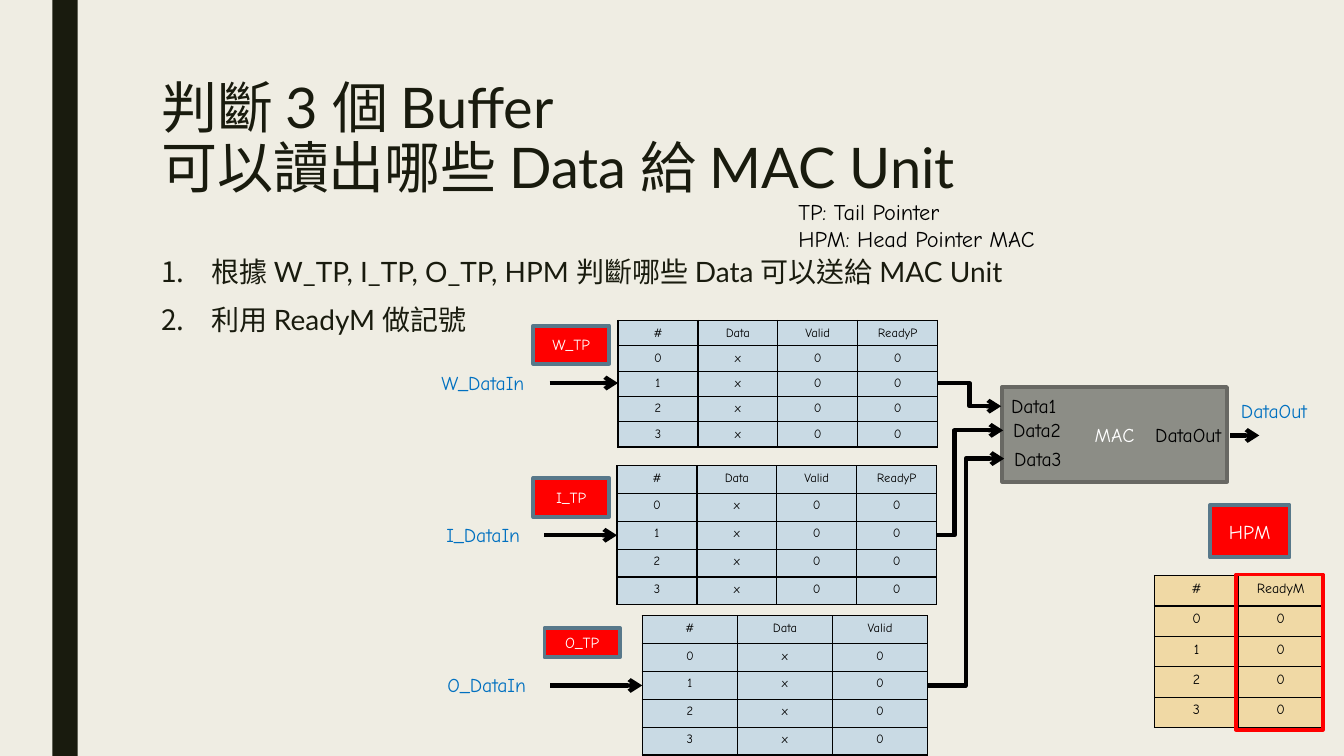
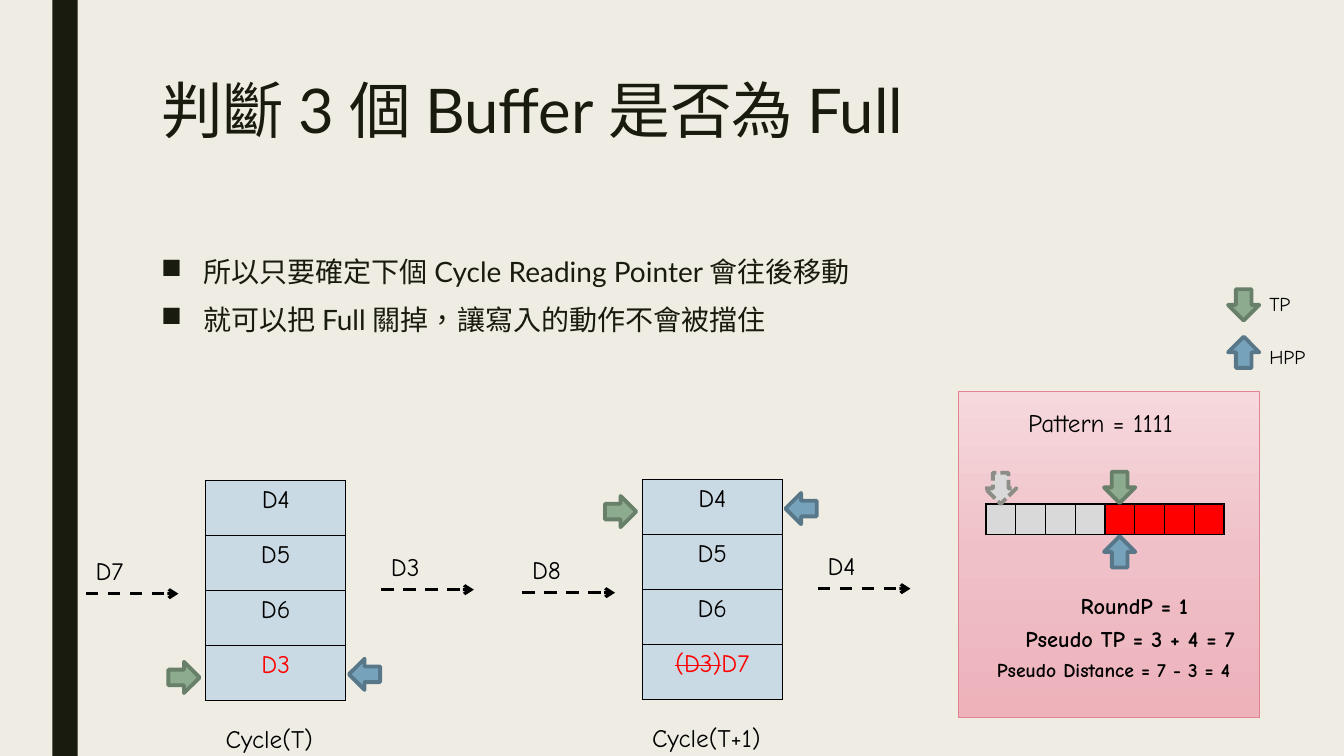
from lxml import etree
from pptx import Presentation
from pptx.dml.color import RGBColor
from pptx.enum.dml import MSO_LINE
from pptx.enum.shapes import MSO_CONNECTOR, MSO_SHAPE
from pptx.enum.text import MSO_ANCHOR, PP_ALIGN
from pptx.oxml.ns import qn
from pptx.util import Inches, Pt

RECT, DOWN_ARROW = MSO_SHAPE.RECTANGLE, MSO_SHAPE.DOWN_ARROW
STRAIGHT, ELBOW = MSO_CONNECTOR.STRAIGHT, MSO_CONNECTOR.ELBOW
LEFT, CENTER, RIGHT = PP_ALIGN.LEFT, PP_ALIGN.CENTER, PP_ALIGN.RIGHT
DASH, SHORT_DASH = MSO_LINE.DASH, MSO_LINE.SQUARE_DOT


class Theme:
    heading_font, diagram_font = "Lato", "Comic Neue"
    paper, ink, black, white = "EFEDE3", "191B0E", "000000", "FFFFFF"
    red, signal = "FF0000", "0070C0"
    buffer, ready = "C9DAE4", "F0D9A5"
    unit, unit_edge = "8C8D86", "686863"
    tail, tail_edge = "8DAB8E", "687F69"
    head, head_edge = "77A2BB", "58788A"
    idle = "D9D9D9"
    panel, panel_edge = ((0, "F6D9DD"), (50, "EFC0C7"), (100, "EEB2BB")), "E28394"
    body, large, medium, normal, tag, small, tiny = 20, 18, 16, 14, 11, 10, 9
    outline = 2.75


def rgb(color):
    return RGBColor.from_string(color)


def write(frame, paragraphs, size, color=Theme.black, font=Theme.diagram_font,
          align=LEFT, bold=False):
    """Fill a text frame; a run is a string or a (string, color, struck) tuple."""
    frame.word_wrap = True
    for number, runs in enumerate(paragraphs):
        paragraph = frame.add_paragraph() if number else frame.paragraphs[0]
        paragraph.alignment = align
        for part in runs:
            if part == "\n":
                paragraph.add_line_break()
                continue
            text, run_color, struck = (part, color, False) if isinstance(part, str) else part
            run = paragraph.add_run()
            run.text = text
            run.font.name, run.font.size, run.font.bold = font, Pt(size), bold
            run.font.color.rgb = rgb(run_color)
            properties = run._r.get_or_add_rPr()
            properties.set("lang", "zh-TW")
            if struck:
                properties.set("strike", "sngStrike")


prs = Presentation()
prs.slide_width, prs.slide_height = Inches(13.33), Inches(7.5)
master_fill = prs.slide_master.background.fill
master_fill.solid()
master_fill.fore_color.rgb = rgb(Theme.paper)

# Titles, side band and lists
outlines = [
    (["判斷 3 個 Buffer", "\n", "可以讀出哪些 Data 給 MAC Unit"], 40,
     [["根據 W_TP, I_TP, O_TP, HPM 判斷哪些 Data 可以送給 MAC Unit"],
      ["利用 ReadyM 做記號"]],
     0.5, "a:buAutoNum", {"type": "arabicPeriod"}),
    (["判斷 3 個 Buffer 是否為 Full"], 44,
     [["所以只要確定下個 Cycle Reading Pointer 會往後移動"],
      ["就可以把 Full 關掉，讓寫入的動作不會被擋住"]],
     0.42, "a:buChar", {"char": "■"}),
]
for title, title_size, points, indent, bullet, bullet_attributes in outlines:
    slide = prs.slides.add_slide(prs.slide_layouts[6])
    band = slide.shapes.add_shape(RECT, Inches(0.52), 0, Inches(0.25), prs.slide_height)
    band.shadow.inherit = False
    band.fill.solid()
    band.fill.fore_color.rgb = rgb(Theme.ink)
    band.line.fill.background()

    title_frame = slide.shapes.add_textbox(
        Inches(1.5), Inches(0.75), Inches(10.5), Inches(1.62)).text_frame
    write(title_frame, [title], title_size, Theme.ink, Theme.heading_font)
    title_frame.paragraphs[0].line_spacing = 0.89

    list_frame = slide.shapes.add_textbox(
        Inches(1.5), Inches(2.5), Inches(10.5), Inches(3.92)).text_frame
    write(list_frame, points, Theme.body, Theme.ink, Theme.heading_font)
    for number, point in enumerate(list_frame.paragraphs):
        properties = point._p.get_or_add_pPr()
        properties.set("marL", str(Inches(indent)))
        properties.set("indent", str(-Inches(indent)))
        etree.SubElement(properties, qn(bullet), bullet_attributes)
        point.line_spacing = 0.94
        point.space_before = Pt(10 if number else 0)
        point.space_after = Pt(2)

reading, full = prs.slides

# Diagram parts
# tables: slide, left, top, width, height, rows, fill, size
# shapes: slide, preset, left, top, width, height, rotation, fill, edge, label, size
# lines: slide, kind, from x, from y, to x, to y, width, dash, bend
# labels: slide, left, top, width, paragraphs, size, color, align, bold
tables = [
    (reading, 11.45, 5.71, 1.67, 1.51,
     [["#", "ReadyM"]] + [[str(index), "0"] for index in range(4)],
     Theme.ready, Theme.small),
    (full, 9.78, 5, 1.18, 0.3, [[""] * 4], Theme.idle, Theme.small),
    (full, 10.96, 5, 1.18, 0.3, [[""] * 4], Theme.red, Theme.small),
]
shapes = [
    (reading, RECT, 9.94, 3.84, 2.23, 0.94, 0, Theme.unit, Theme.unit_edge, "MAC", Theme.normal),
    (reading, RECT, 12, 5.01, 0.79, 0.52, 0, Theme.red, Theme.head_edge, "HPM", Theme.normal),
    (reading, RECT, 12.26, 5.7, 0.86, 1.54, 0, None, Theme.red, "", Theme.normal),
]
lines = [(reading, STRAIGHT, 12.2, 4.32, 12.49, 4.32, 3, None, None)]
labels = [
    (reading, 11.22, 4.15, 0.99, [["DataOut"]], Theme.normal, Theme.black, RIGHT, False),
    (reading, 12.21, 3.91, 0.99, [["DataOut"]], Theme.normal, Theme.signal, LEFT, False),
    (reading, 7.82, 1.92, 2.75, [["TP: Tail Pointer"], ["HPM: Head Pointer MAC"]],
     Theme.medium, Theme.black, LEFT, False),
    (full, 10.1, 3.99, 1.83, [["Pattern = 1111"]], Theme.large, Theme.black, LEFT, False),
    (full, 10.16, 5.83, 2.18, [["RoundP = 1"]], Theme.medium, Theme.black, CENTER, True),
    (full, 9.81, 6.15, 2.8, [["Pseudo TP = 3 + 4 = 7"]], Theme.medium, Theme.black, CENTER, True),
    (full, 9.52, 6.48, 3.05, [["Pseudo Distance = 7 - 3 = 4"]],
     Theme.normal, Theme.black, CENTER, True),
]

# The three buffers feeding the MAC unit
buffers = [
    ("W", 6.13, 3.18, 3.17, 1.22, 4, (5.29, 3.23, 0.38), 4.28, 5.45, 3.8, (9.93, 4.03), 0.5),
    ("I", 6.12, 4.62, 3.17, 1.38, 4, (5.29, 4.74, 0.39), 4.33, 5.4, 5.31, (9.95, 4.27), 0.27),
    ("O", 6.37, 6.11, 2.83, 1.38, 3, (5.4, 6.23, 0.29), 4.34, 5.46, 6.8, (9.96, 4.55), 0.5),
]
for port, (name, left, top, width, height, columns, (tag_left, tag_top, tag_height),
           label_left, arrow_left, arrow_y, (port_x, port_y), bend) in enumerate(buffers, 1):
    header = ["#", "Data", "Valid", "ReadyP"][:columns]
    entries = [[str(index), "x", "0", "0"][:columns] for index in range(4)]
    tables.append((reading, left, top, width, height, [header] + entries,
                   Theme.buffer, Theme.tiny))
    shapes.append((reading, RECT, tag_left, tag_top, 0.75, tag_height, 0,
                   Theme.red, Theme.head_edge, f"{name}_TP", Theme.tag))
    lines += [
        (reading, STRAIGHT, arrow_left, arrow_y, left, arrow_y, 3, None, None),
        (reading, ELBOW, left + width, arrow_y, port_x, port_y, 3, None, bend),
    ]
    labels += [
        (reading, label_left, arrow_y - 0.17, 1.17, [[f"{name}_DataIn"]],
         Theme.normal, Theme.signal, LEFT, False),
        (reading, port_x, port_y - 0.17, 0.76, [[f"Data{port}"]],
         Theme.normal, Theme.black, LEFT, False),
    ]

# The buffer contents in two successive cycles
cycles = [
    ("Cycle(T)", 2.04, 4.77, 2.14, 3, "D7", "D3", [("D3", Theme.red, False)]),
    ("Cycle(T+1)", 6.37, 4.76, 6.37, 0, "D8", "D4",
     [("(D3)", Theme.red, True), ("D7", Theme.red, False)]),
]
for caption, left, top, caption_left, pointer_row, written, read, last in cycles:
    tables.append((full, left, top, 1.39, 2.18, [["D4"], ["D5"], ["D6"], [last]],
                   Theme.buffer, Theme.large))
    pointer_y = top + pointer_row * 2.18 / 4 + 0.16
    shapes += [
        (full, DOWN_ARROW, left - 0.37, pointer_y, 0.31, 0.31, 270,
         Theme.tail, Theme.tail_edge, "", Theme.normal),
        (full, DOWN_ARROW, left + 1.42, pointer_y - 0.03, 0.31, 0.31, 90,
         Theme.head, Theme.head_edge, "", Theme.normal),
    ]
    for text, x, y in [(written, left - 1.19, top + 1.12), (read, left + 1.74, top + 1.08)]:
        lines.append((full, STRAIGHT, x, y, x + 0.92, y, 2.25, DASH, None))
        labels.append((full, x, y - 0.43, 0.54, [[text]],
                       Theme.large, Theme.black, LEFT, False))
    labels.append((full, caption_left, top + 2.36, 1.42, [[caption]],
                   Theme.large, Theme.black, LEFT, False))

# Pointers in the legend and around the pattern strip
for x, tail_y, head_y in [(12.18, 2.87, 3.34), (10.95, 4.68, 5.32)]:
    shapes += [
        (full, DOWN_ARROW, x, tail_y, 0.31, 0.31, 0, Theme.tail, Theme.tail_edge, "", Theme.normal),
        (full, DOWN_ARROW, x, head_y, 0.31, 0.31, 180, Theme.head, Theme.head_edge, "", Theme.normal),
    ]
for text, y in [("TP", 2.85), ("HPP", 3.37)]:
    labels.append((full, 12.49, y, 0.62, [[text]], Theme.normal, Theme.black, LEFT, False))
shapes.append((full, DOWN_ARROW, 9.77, 4.69, 0.31, 0.31, 0,
               Theme.idle, Theme.unit, "", Theme.normal))

# Drawing, from back to front
panel = full.shapes.add_shape(RECT, Inches(9.51), Inches(3.88), Inches(2.98), Inches(3.24))
panel.shadow.inherit = False
panel.fill.gradient()
panel.fill.gradient_angle = 270
stops = panel._element.spPr.find(".//" + qn("a:gsLst"))
stops.clear()
for position, color in Theme.panel:
    stop = etree.SubElement(stops, qn("a:gs"), pos=str(position * 1000))
    etree.SubElement(stop, qn("a:srgbClr"), val=color)
panel.line.color.rgb = rgb(Theme.panel_edge)
panel.line.width = Pt(0.5)

for slide, left, top, width, height, rows, fill, size in tables:
    table = slide.shapes.add_table(len(rows), len(rows[0]), Inches(left), Inches(top),
                                   Inches(width), Inches(height)).table
    table.first_row = table.horz_banding = False
    for column in table.columns:
        column.width = Inches(width / len(rows[0]))
    for row_index, row in enumerate(rows):
        table.rows[row_index].height = Inches(height / len(rows))
        for column_index, content in enumerate(row):
            cell = table.cell(row_index, column_index)
            cell.fill.solid()
            cell.fill.fore_color.rgb = rgb(fill)
            if content:
                runs = [content] if isinstance(content, str) else content
                write(cell.text_frame, [runs], size, align=CENTER)
            else:
                cell.margin_top = cell.margin_bottom = 0
            for position, side in enumerate(("a:lnL", "a:lnR", "a:lnT", "a:lnB")):
                border = etree.Element(qn(side), w=str(Pt(1)))
                border_fill = etree.SubElement(border, qn("a:solidFill"))
                etree.SubElement(border_fill, qn("a:srgbClr"), val=Theme.black)
                cell._tc.get_or_add_tcPr().insert(position, border)

for slide, preset, left, top, width, height, rotation, fill, edge, label, size in shapes:
    shape = slide.shapes.add_shape(preset, Inches(left), Inches(top),
                                   Inches(width), Inches(height))
    shape.shadow.inherit = False
    shape.rotation = rotation
    if fill:
        shape.fill.solid()
        shape.fill.fore_color.rgb = rgb(fill)
    else:
        shape.fill.background()
    shape.line.color.rgb = rgb(edge)
    shape.line.width = Pt(Theme.outline)
    if fill == Theme.idle:
        shape.line.dash_style = SHORT_DASH
    if label:
        shape.text_frame.vertical_anchor = MSO_ANCHOR.MIDDLE
        write(shape.text_frame, [[label]], size, Theme.white, align=CENTER)

for slide, kind, from_x, from_y, to_x, to_y, width, dash, bend in lines:
    arrow = slide.shapes.add_connector(kind, Inches(from_x), Inches(from_y),
                                       Inches(to_x), Inches(to_y))
    arrow.line.color.rgb = rgb(Theme.black)
    arrow.line.width = Pt(width)
    if dash:
        arrow.line.dash_style = dash
    properties = arrow._element.spPr
    etree.SubElement(properties.find(qn("a:ln")), qn("a:tailEnd"), type="arrow")
    etree.SubElement(properties, qn("a:effectLst"))
    if bend:
        adjustments = properties.find(".//" + qn("a:avLst"))
        etree.SubElement(adjustments, qn("a:gd"), name="adj1", fmla=f"val {round(bend * 100000)}")

for slide, left, top, width, paragraphs, size, color, align, bold in labels:
    box = slide.shapes.add_textbox(Inches(left), Inches(top), Inches(width),
                                   Inches(0.1 + len(paragraphs) * size / 60))
    write(box.text_frame, paragraphs, size, color, align=align, bold=bold)

prs.save("out.pptx")
